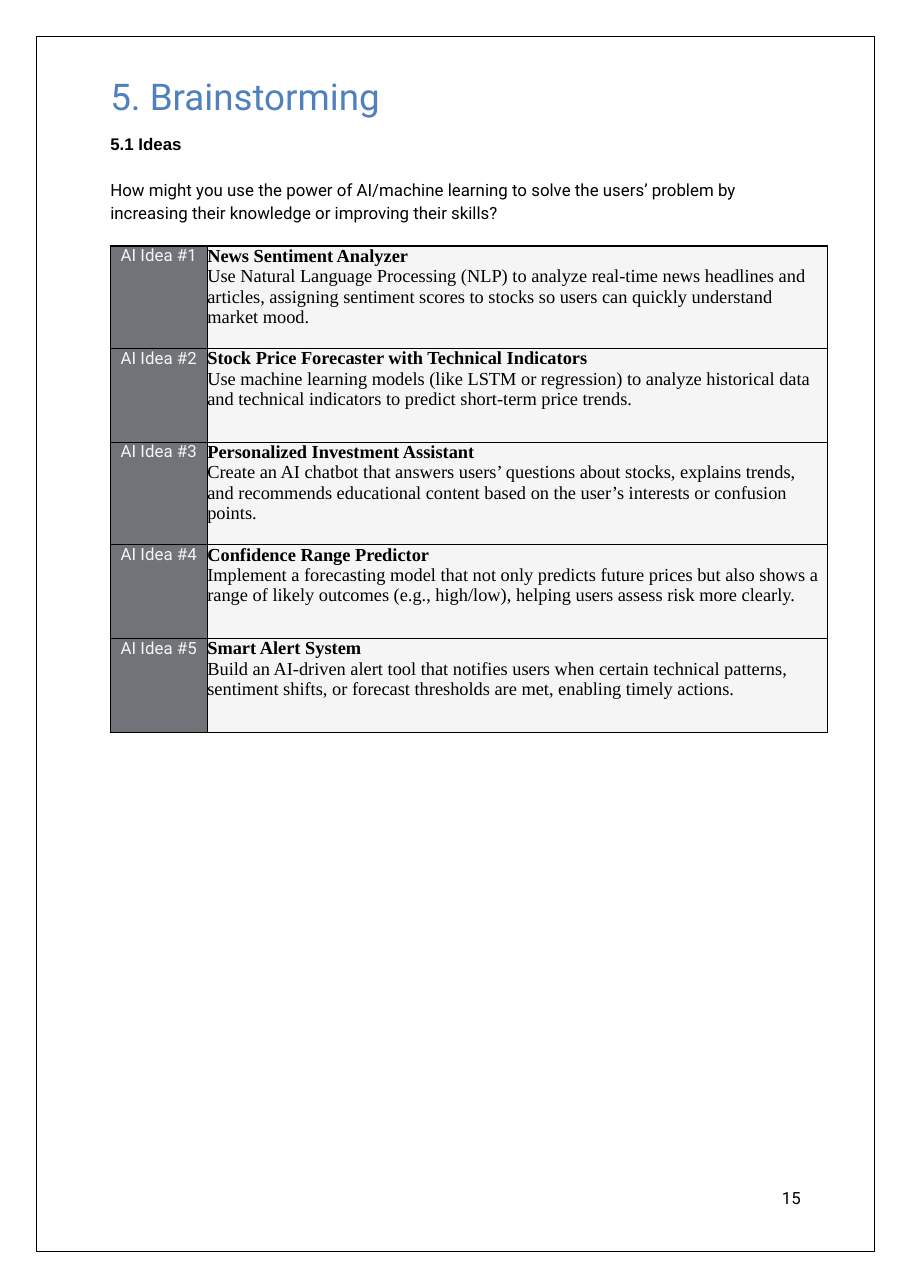
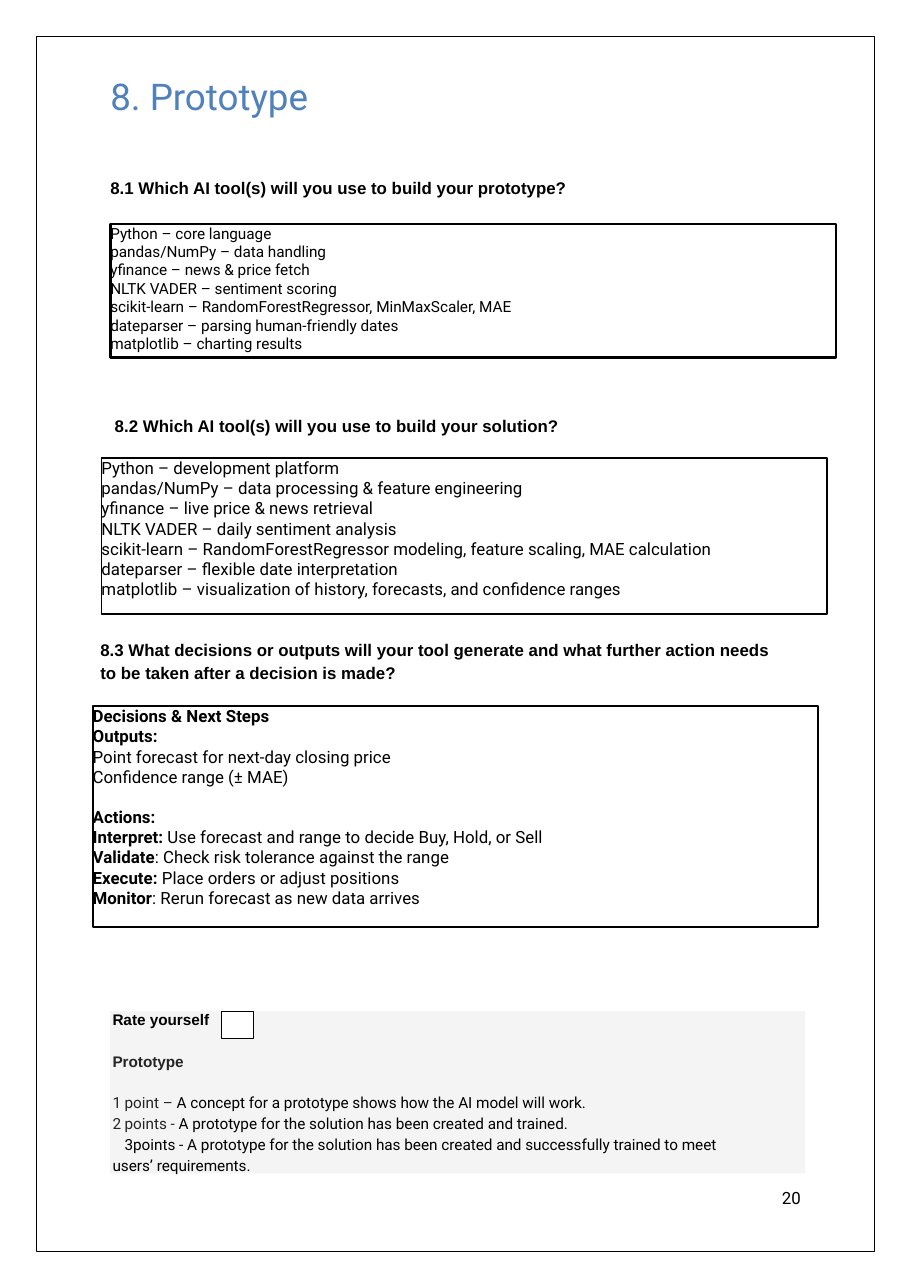
"""Builds two workbook pages: brainstorming ideas and a prototype plan."""
from lxml.etree import SubElement
from pptx import Presentation
from pptx.dml.color import RGBColor
from pptx.enum.shapes import MSO_SHAPE
from pptx.enum.text import PP_ALIGN
from pptx.oxml.ns import qn
from pptx.util import Inches, Pt

W, H = 8.26, 11.68
MARGIN, LEFT = 0.33, 1.0
BLACK, WHITE, BLUE = "000000", "FFFFFF", "4F81BC"
SLATE, PALE, PANEL, INK = "707377", "F5F5F5", "F4F4F4", "252525"
BODY, HEAD, SERIF = "Roboto", "Arial", "Times New Roman"

QUESTION = ("How might you use the power of AI/machine learning to solve the users’ problem by "
            "increasing their knowledge or improving their skills?")
IDEAS = [
    ("News Sentiment Analyzer",
     "Use Natural Language Processing (NLP) to analyze real-time news headlines and articles, "
     "assigning sentiment scores to stocks so users can quickly understand market mood."),
    ("Stock Price Forecaster with Technical Indicators",
     "Use machine learning models (like LSTM or regression) to analyze historical data and "
     "technical indicators to predict short-term price trends."),
    ("Personalized Investment Assistant",
     "Create an AI chatbot that answers users’ questions about stocks, explains trends, and "
     "recommends educational content based on the user’s interests or confusion points."),
    ("Confidence Range Predictor",
     "Implement a forecasting model that not only predicts future prices but also shows a range "
     "of likely outcomes (e.g., high/low), helping users assess risk more clearly."),
    ("Smart Alert System",
     "Build an AI-driven alert tool that notifies users when certain technical patterns, "
     "sentiment shifts, or forecast thresholds are met, enabling timely actions."),
]
COLS = (0.88, 5.62)
ROWS = (0.93, 0.85, 0.93, 0.85, 0.85)

SECTIONS = [
    {"head": "8.1 Which AI tool(s) will you use to build your prototype?",
     "head_at": (LEFT, 1.59), "frame": (1.0, 2.03, 6.58, 1.21), "line": 1.75, "size": 10,
     "text": ["Python – core language", "pandas/NumPy – data handling",
              "yfinance – news & price fetch", "NLTK VADER – sentiment scoring",
              "scikit‑learn – RandomForestRegressor, MinMaxScaler, MAE",
              "dateparser – parsing human‑friendly dates", "matplotlib – charting results"]},
    {"head": "8.2 Which AI tool(s) will you use to build your solution?",
     "head_at": (1.04, 3.75), "frame": (0.92, 4.15, 6.58, 1.42), "line": 1.25, "size": 11,
     "text": ["Python – development platform",
              "pandas/NumPy – data processing & feature engineering",
              "yfinance – live price & news retrieval", "NLTK VADER – daily sentiment analysis",
              "scikit‑learn – RandomForestRegressor modeling, feature scaling, MAE calculation",
              "dateparser – flexible date interpretation",
              "matplotlib – visualization of history, forecasts, and confidence ranges"]},
    {"head": "8.3 What decisions or outputs will your tool generate and what further action "
             "needs to be taken after a decision is made?",
     "head_at": (0.91, 5.75), "frame": (0.84, 6.4, 6.58, 2.01), "line": 1.25, "size": 11,
     "text": ["*Decisions & Next Steps*", "*Outputs:*", "Point forecast for next‑day closing price",
              "Confidence range (± MAE)", "*Actions:*",
              "*Interpret:* Use forecast and range to decide Buy, Hold, or Sell",
              "*Validate*: Check risk tolerance against the range",
              "*Execute:* Place orders or adjust positions",
              "*Monitor*: Rerun forecast as new data arrives"],
     "gap_before": 4},
]
POINTS = [
    ("point – ", "A concept for a prototype shows how the AI model will work."),
    ("points - ", "A prototype for the solution has been created and trained."),
    ("points - A prototype for the solution has been created and successfully trained to meet "
     "users’ requirements.",),
]


def rgb(color):
    return RGBColor.from_string(color)


def style(r, size, font=BODY, color=BLACK, bold=False):
    f = r.font
    f.size, f.name, f.bold = Pt(size), font, bold
    f.color.rgb = rgb(color)


def add_runs(p, text, size, **kw):
    """Adds runs to a paragraph; words between asterisks are bold."""
    for i, part in enumerate(text.split("*")):
        if part:
            r = p.add_run()
            r.text = part
            style(r, size, **({"bold": True} if i % 2 else {}) | kw)


def next_paragraph(tf):
    return tf.add_paragraph() if tf.paragraphs[0].runs else tf.paragraphs[0]


def prepare(tf, top=0.0, right=0.0):
    tf.word_wrap = True
    tf.margin_left = tf.margin_bottom = 0
    tf.margin_top, tf.margin_right = Inches(top), Inches(right)
    return tf


def textbox(s, x, y, w, h, text, size, top=0.02, **kw):
    tf = prepare(s.shapes.add_textbox(*map(Inches, (x, y, w, h))).text_frame, top)
    add_runs(tf.paragraphs[0], text, size, **kw)
    return tf


def rect(s, x, y, w, h, fill=None, line=None):
    sp = s.shapes.add_shape(MSO_SHAPE.RECTANGLE, *map(Inches, (x, y, w, h)))
    sp.shadow.inherit = False
    if fill:
        sp.fill.solid()
        sp.fill.fore_color.rgb = rgb(fill)
    else:
        sp.fill.background()
    if line:
        sp.line.color.rgb = rgb(BLACK)
        sp.line.width = Pt(line)
    else:
        sp.line.fill.background()
    return sp


def page(prs, title, number):
    s = prs.slides.add_slide(prs.slide_layouts[6])
    rect(s, MARGIN, MARGIN, W - 2 * MARGIN, H - 2 * MARGIN, line=0.5)
    textbox(s, LEFT, 0.65, 3.12, 0.43, title, 24, color=BLUE)
    textbox(s, 7.09, 10.77, 0.24, 0.2, number, 11, top=0)
    return s


def heading(s, x, y, text, h=0.21):
    return textbox(s, x, y, 6.15, h, text, 11, font=HEAD, bold=True)


def fill_cell(cell, color):
    cell.fill.solid()
    cell.fill.fore_color.rgb = rgb(color)
    cell.margin_left = cell.margin_right = cell.margin_top = cell.margin_bottom = 0
    pr = cell._tc.get_or_add_tcPr()
    for i, side in enumerate(("lnL", "lnR", "lnT", "lnB")):
        ln = pr.makeelement(qn(f"a:{side}"), {"w": str(Pt(1))})
        SubElement(SubElement(ln, qn("a:solidFill")), qn("a:srgbClr"), val=BLACK)
        pr.insert(i, ln)


def idea_table(s, x, y):
    size = map(Inches, (x, y, sum(COLS), sum(ROWS)))
    table = s.shapes.add_table(len(IDEAS), len(COLS), *size).table
    for col, w in zip(table.columns, COLS):
        col.width = Inches(w)
    for i, (name, detail) in enumerate(IDEAS):
        table.rows[i].height = Inches(ROWS[i])
        label, idea = table.cell(i, 0), table.cell(i, 1)
        fill_cell(label, SLATE)
        fill_cell(idea, PALE)
        p = label.text_frame.paragraphs[0]
        p.alignment = PP_ALIGN.CENTER
        add_runs(p, f"AI Idea #{i + 1}", 11, color=PALE)
        for text, bold in ((name, True), (detail, False)):
            add_runs(next_paragraph(idea.text_frame), text, 12, font=SERIF, bold=bold)


def answer_frame(s, sec):
    sp = rect(s, *sec["frame"], line=sec["line"])
    tf = prepare(sp.text_frame)
    tf.vertical_anchor = 1
    for i, text in enumerate(sec["text"]):
        p = next_paragraph(tf)
        p.alignment = PP_ALIGN.LEFT
        if i == sec.get("gap_before"):
            p.space_before = Pt(13)
        add_runs(p, text, sec["size"])


def number_paragraph(p, left, indent):
    pr = p._p.get_or_add_pPr()
    pr.set("marL", str(Inches(left)))
    pr.set("indent", str(Inches(indent)))
    SubElement(pr, qn("a:buAutoNum"), type="arabicPlain")
    SubElement(SubElement(pr, qn("a:tabLst")), qn("a:tab"), pos=str(Inches(0.13)), algn="l")


def rating_panel(s, x, y, w, h):
    rect(s, x, y, w, h, fill=PANEL)
    tf = textbox(s, x + 0.02, y, w - 0.02, h, "Rate yourself", 10, top=0, font=HEAD, bold=True)
    tf.margin_right = Inches(0.6)
    tf.paragraphs[0].line_spacing = Pt(11.2)
    p = tf.add_paragraph()
    p.space_before = Pt(15.5)
    add_runs(p, "Prototype", 10, font=HEAD, color=INK, bold=True)
    for i, parts in enumerate(POINTS):
        p = tf.add_paragraph()
        last = i == len(POINTS) - 1
        number_paragraph(p, *((0, 0.11) if last else (0.11, -0.11)))
        p.space_before = Pt((15, 1.2, 0)[i])
        if last:
            p.line_spacing = 1.15
        for part, color in zip(parts, (BLACK,) if last else (INK, BLACK)):
            add_runs(p, part, 10, color=color)
    rect(s, x + 1.01, y, 0.29, 0.25, fill=WHITE, line=0.5)


def main():
    prs = Presentation()
    prs.slide_width, prs.slide_height = Inches(W), Inches(H)

    s = page(prs, "5. Brainstorming", "15")
    tf = heading(s, LEFT, 1.19, "5.1 Ideas", 0.82)
    p = tf.add_paragraph()
    p.space_before, p.line_spacing = Pt(14.7), 1.15
    add_runs(p, QUESTION, 11)
    idea_table(s, LEFT, 2.23)

    s = page(prs, "8. Prototype", "20")
    for sec in SECTIONS:
        tf = heading(s, *sec["head_at"], sec["head"])
        tf.paragraphs[0].line_spacing = 1.15 if len(sec["head"]) > 80 else 1.0
        answer_frame(s, sec)
    rating_panel(s, LEFT, 9.17, 6.3, 1.47)

    prs.save("out.pptx")


if __name__ == "__main__":
    main()
